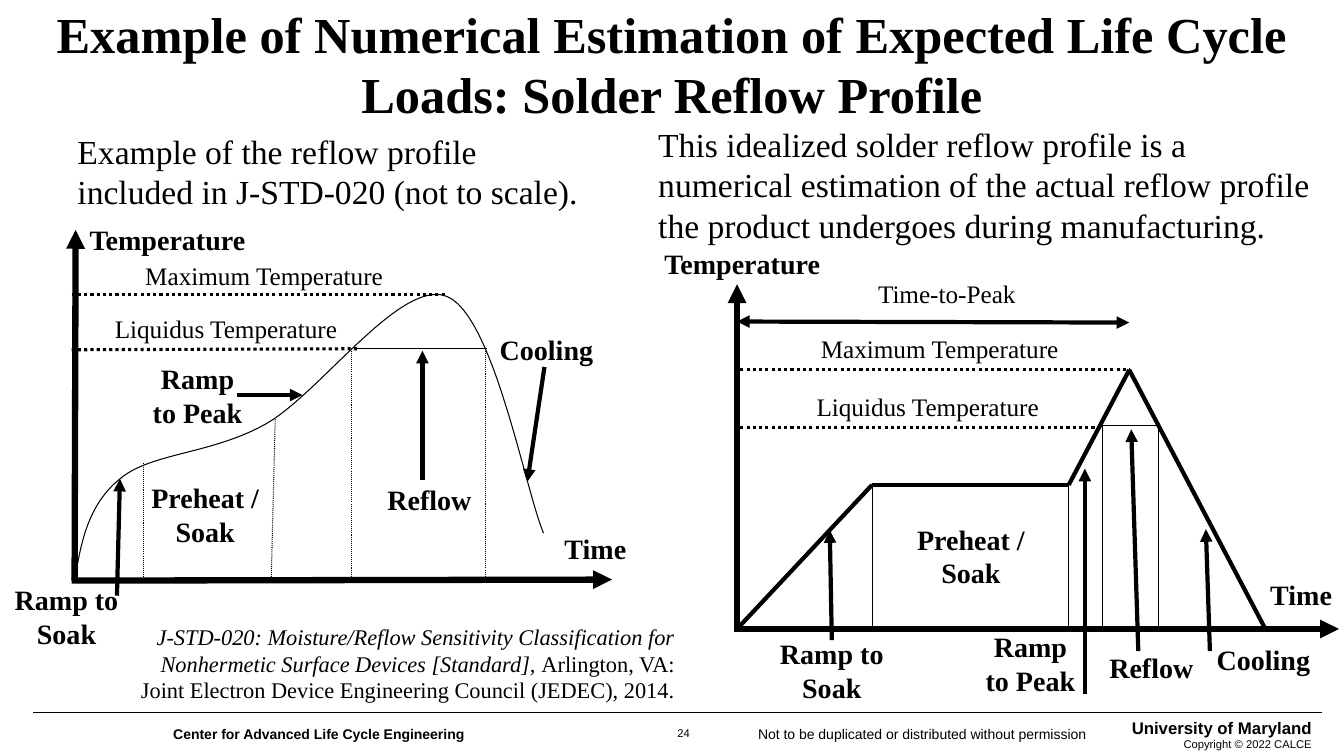
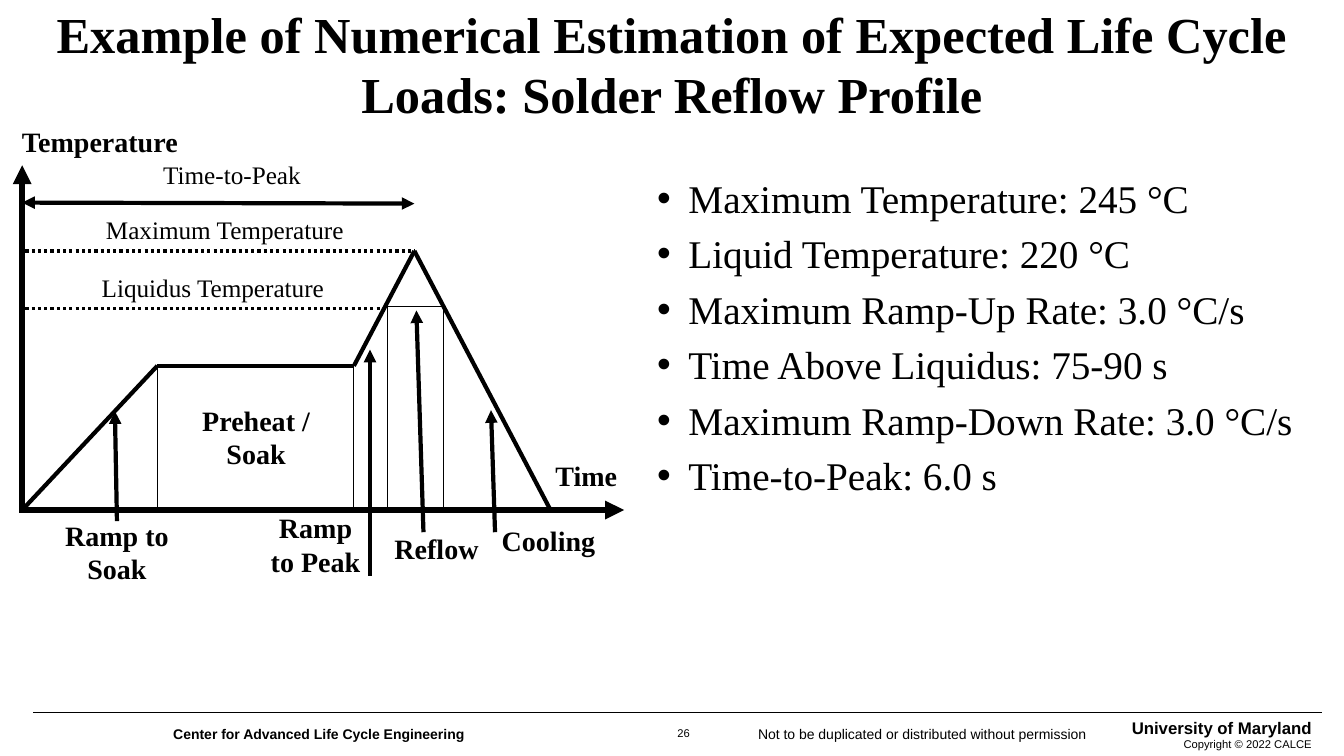
"""Build two slides on solder reflow profiles."""
from dataclasses import dataclass
from itertools import pairwise

from lxml import etree
from pptx import Presentation
from pptx import util as u
from pptx.dml.color import RGBColor
from pptx.enum import dml, text
from pptx.enum.shapes import MSO_CONNECTOR
from pptx.oxml.ns import qn

SERIF, SANS = "Times New Roman", "Arial"
BLACK = "000000"
LEFT, CENTER, RIGHT = text.PP_ALIGN.LEFT, text.PP_ALIGN.CENTER, text.PP_ALIGN.RIGHT
TITLE = "Example of Numerical Estimation of Expected Life Cycle Loads: Solder Reflow Profile"
AXIS, BOLD, GUIDE, THIN = 4.5, 3, 2.25, 0.75


@dataclass(frozen=True)
class Stroke:
    x1: float
    y1: float
    x2: float
    y2: float
    width: float = BOLD
    dotted: bool = False
    head: bool = False
    tail: bool = False


@dataclass(frozen=True)
class Label:
    text: str
    x: float
    y: float
    w: float
    h: float = 0.44
    size: float = 20
    bold: bool = True
    align: text.PP_ALIGN = CENTER
    font: str = SERIF


def arrow(x1: float, y1: float, x2: float, y2: float, width: float = BOLD) -> Stroke:
    return Stroke(x1, y1, x2, y2, width, tail=True)


def dots(x1: float, y1: float, x2: float, y2: float, width: float = GUIDE) -> Stroke:
    return Stroke(x1, y1, x2, y2, width, dotted=True)


def pair(words: str, x: float, y: float, w: float) -> Label:
    return Label(words, x, y, w, 0.77)


def note(words: str, x: float, y: float, w: float, align: text.PP_ALIGN = LEFT) -> Label:
    return Label(words, x, y, w, 0.4, 18, False, align)


PROFILE = [(0, 0), (1.34, -1.43), (3.29, -1.43), (3.89, -2.57), (5.24, 0)]
IDEAL_STROKES = [
    arrow(0, 0, 0, -3.42, AXIS),
    arrow(-0.03, 0, 5.97, 0, AXIS),
    *(Stroke(*a, *b) for a, b in pairwise(PROFILE)),
    Stroke(0, -3.05, 3.89, -3.04, head=True, tail=True),
    dots(-0.03, -2, 3.62, -2),
    dots(-0.03, -2.57, 3.89, -2.57),
    Stroke(3.6, -2.02, 4.19, -2.02, THIN),
    *(Stroke(x, y, x, 0, THIN)
      for x, y in [(1.34, -1.43), (3.29, -1.43), (3.62, -2.02), (4.18, -2.02)]),
    arrow(0.94, 0.11, 0.92, -0.98),
    arrow(3.45, 0.65, 3.45, -1.59),
    arrow(3.98, 0.22, 3.91, -1.98),
    arrow(4.69, 0.22, 4.65, -0.99),
]
IDEAL_LABELS = [
    note("Time-to-Peak", 1.3, -3.53, 1.91),
    note("Liquidus Temperature", 0.69, -2.41, 2.51),
    note("Maximum Temperature", 0.7, -2.98, 2.62, CENTER),
    pair("Preheat / Soak", 1.62, -1.11, 1.4),
    pair("Ramp to Soak", 0.29, 0.03, 1.3),
    pair("Ramp to Peak", 2.36, -0.04, 1.1),
    Label("Reflow", 3.56, 0.16, 1.1),
    Label("Cooling", 4.63, 0.08, 1.18),
    Label("Time", 5.19, -0.56, 0.83, align=LEFT),
]
STANDARD_STROKES = [
    arrow(0.74, 5.76, 0.75, 2.28, AXIS),
    arrow(0.71, 5.76, 6.07, 5.75, AXIS),
    dots(0.71, 3.47, 3.56, 3.46),
    dots(0.71, 2.92, 4.43, 2.92),
    Stroke(3.53, 3.46, 4.83, 3.46, THIN),
    dots(1.42, 4.59, 1.42, 5.77, THIN),
    dots(2.73, 4.16, 2.69, 5.75, THIN),
    dots(3.49, 3.46, 3.49, 5.76, THIN),
    dots(4.82, 3.48, 4.82, 5.78, THIN),
    arrow(1.16, 5.91, 1.19, 4.75),
    arrow(2.35, 3.92, 3, 3.92),
    arrow(4.19, 4.76, 4.19, 3.48),
    arrow(5.4, 3.64, 5.23, 4.78),
]
STANDARD_LABELS = [
    Label("Temperature", 0.79, 2.16, 1.76, align=LEFT),
    Label("Time", 5.5, 5.22, 0.83, align=LEFT),
    note("Liquidus Temperature", 1.04, 3.06, 2.51),
    note("Maximum Temperature", 1.31, 2.53, 2.62, CENTER),
    pair("Preheat / Soak", 1.37, 4.72, 1.33),
    pair("Ramp to Soak", 0.01, 5.73, 1.3),
    pair("Ramp to Peak", 1.41, 3.54, 1.1),
    Label("Reflow", 3.71, 4.74, 1.1),
    Label("Cooling", 4.83, 3.25, 1.18),
]
CURVE_START = (0.74, 5.77)
CURVE = [
    ((0.8, 5.39), (0.87, 5.01), (1.19, 4.75)),
    ((1.5, 4.49), (2.09, 4.51), (2.63, 4.21)),
    ((3.17, 3.91), (3.97, 2.76), (4.43, 2.94)),
    ((4.89, 3.12), (5.2, 4.82), (5.39, 5.29)),
]
VALUES = [
    "Maximum Temperature: 245 °C",
    "Liquid Temperature: 220 °C",
    "Maximum Ramp-Up Rate: 3.0 °C/s",
    "Time Above Liquidus: 75-90 s",
    "Maximum Ramp-Down Rate: 3.0 °C/s",
    "Time-to-Peak: 6.0 s",
]


def color(hex_value: str) -> RGBColor:
    return RGBColor.from_string(hex_value)


def style_line(line, width: float) -> None:
    line.color.rgb = color(BLACK)
    line.width = u.Pt(width)


def style_run(r, size: float, bold: bool = False, font: str = SERIF) -> None:
    r.font.name, r.font.size, r.font.bold = font, u.Pt(size), bold
    r.font.color.rgb = color(BLACK)


def add_stroke(s, k: Stroke, dx: float = 0, dy: float = 0) -> None:
    ends = (k.x1 + dx, k.y1 + dy, k.x2 + dx, k.y2 + dy)
    cx = s.shapes.add_connector(MSO_CONNECTOR.STRAIGHT, *map(u.Inches, ends))
    style_line(cx.line, k.width)
    if k.dotted:
        cx.line.dash_style = dml.MSO_LINE.ROUND_DOT
    ln = cx.line._get_or_add_ln()
    for tag, shown in (("a:headEnd", k.head), ("a:tailEnd", k.tail)):
        if shown:
            etree.SubElement(ln, qn(tag), type="triangle")
    etree.SubElement(cx._element.spPr, qn("a:effectLst"))


def add_label(s, k: Label, dx: float = 0, dy: float = 0):
    sp = s.shapes.add_textbox(*map(u.Inches, (k.x + dx, k.y + dy, k.w, k.h)))
    tf = sp.text_frame
    tf.word_wrap = True
    tf.text = k.text
    for p in tf.paragraphs:
        p.alignment = k.align
        for r in p.runs:
            style_run(r, k.size, k.bold, k.font)
    return tf


def add_chart_parts(s, strokes: list[Stroke], labels: list[Label],
                    dx: float = 0, dy: float = 0) -> None:
    for k in strokes:
        add_stroke(s, k, dx, dy)
    for k in labels:
        add_label(s, k, dx, dy)


def add_curve(s, steps: int = 24) -> None:
    points, start = [], CURVE_START
    for c1, c2, end in CURVE:
        for t in (i / steps for i in range(1, steps + 1)):
            weights = ((1 - t) ** 3, 3 * t * (1 - t) ** 2, 3 * t * t * (1 - t), t ** 3)
            points.append(tuple(
                u.Inches(sum(w * v for w, v in zip(weights, axis)))
                for axis in zip(start, c1, c2, end)))
        start = end
    fb = s.shapes.build_freeform(*map(u.Inches, CURVE_START))
    fb.add_line_segments(points, close=False)
    sp = fb.convert_to_shape()
    sp.shadow.inherit = False
    sp.fill.background()
    style_line(sp.line, THIN)


def add_bullets(s) -> None:
    tf = add_label(s, Label("\n".join(VALUES), 6.42, 1.68, 6.72, 3.35, 28, False, LEFT))
    for i, p in enumerate(tf.paragraphs):
        p.space_before, p.space_after = u.Pt(3 if i else 0), u.Pt(3)
        ppr = p._p.get_or_add_pPr()
        ppr.set("marL", str(u.Inches(0.31)))
        ppr.set("indent", str(u.Inches(-0.31)))
        etree.SubElement(ppr, qn("a:buFont"), typeface=SANS)
        etree.SubElement(ppr, qn("a:buChar"), char="•")


def new_slide(prs, number: int):
    s = prs.slides.add_slide(prs.slide_layouts[6])
    add_stroke(s, Stroke(0.33, 7.07, 13.11, 7.07, 1))
    tf = add_label(s, Label("University of Maryland\nCopyright © 2022 CALCE",
                            8.22, 7.07, 4.89, 0.43, 12, True, RIGHT, SANS))
    style_run(tf.paragraphs[1].runs[0], 8, font=SANS)
    tf = add_label(s, Label(str(number), 6.61, 7.16, 0.34, 0.24, 8, False, font=SANS))
    tf.word_wrap = False
    add_label(s, Label("Center for Advanced Life Cycle Engineering",
                       1.62, 7.15, 4, 0.27, 10, True, LEFT, SANS))
    add_label(s, Label("Not to be duplicated or distributed without permission",
                       7.42, 7.15, 3.87, 0.27, 10, False, LEFT, SANS))
    tf = add_label(s, Label(TITLE, 0, 0.17, 13.33, 0.92, 36))
    tf.vertical_anchor = text.MSO_ANCHOR.MIDDLE
    return s


def add_ideal_profile(s, x: float, y: float, name_x: float, name_y: float) -> None:
    add_chart_parts(s, IDEAL_STROKES, IDEAL_LABELS, x, y)
    add_label(s, Label("Temperature", name_x, name_y, 1.76, align=LEFT))


def comparison_slide(prs) -> None:
    s = new_slide(prs, 24)
    add_ideal_profile(s, 7.31, 6.24, 6.49, 2.4)
    add_label(s, Label("This idealized solder reflow profile is a numerical estimation of the "
                       "actual reflow profile the product undergoes during manufacturing.",
                       6.43, 1.18, 6.85, 1.31, 24, False, LEFT))
    add_curve(s)
    add_chart_parts(s, STANDARD_STROKES, STANDARD_LABELS)
    add_label(s, Label("Example of the reflow profile included in J-STD-020 (not to scale).",
                       0.67, 1.25, 5.27, 0.91, 24, False, LEFT))
    tf = add_label(s, Label("J-STD-020: Moisture/Reflow Sensitivity Classification for "
                            "Nonhermetic Surface Devices [Standard], ",
                            1.27, 6.13, 5.52, 0.91, 16, False, RIGHT))
    p = tf.paragraphs[0]
    p.runs[0].font.italic = True
    r = p.add_run()
    r.text = "Arlington, VA: Joint Electron Device Engineering Council (JEDEC), 2014."
    style_run(r, 16)


def values_slide(prs) -> None:
    s = new_slide(prs, 26)
    add_bullets(s)
    add_ideal_profile(s, 0.22, 5.06, 0.12, 1.19)


def main() -> None:
    prs = Presentation()
    prs.slide_width, prs.slide_height = u.Inches(13.33), u.Inches(7.5)
    comparison_slide(prs)
    values_slide(prs)
    prs.save("out.pptx")


if __name__ == "__main__":
    main()
